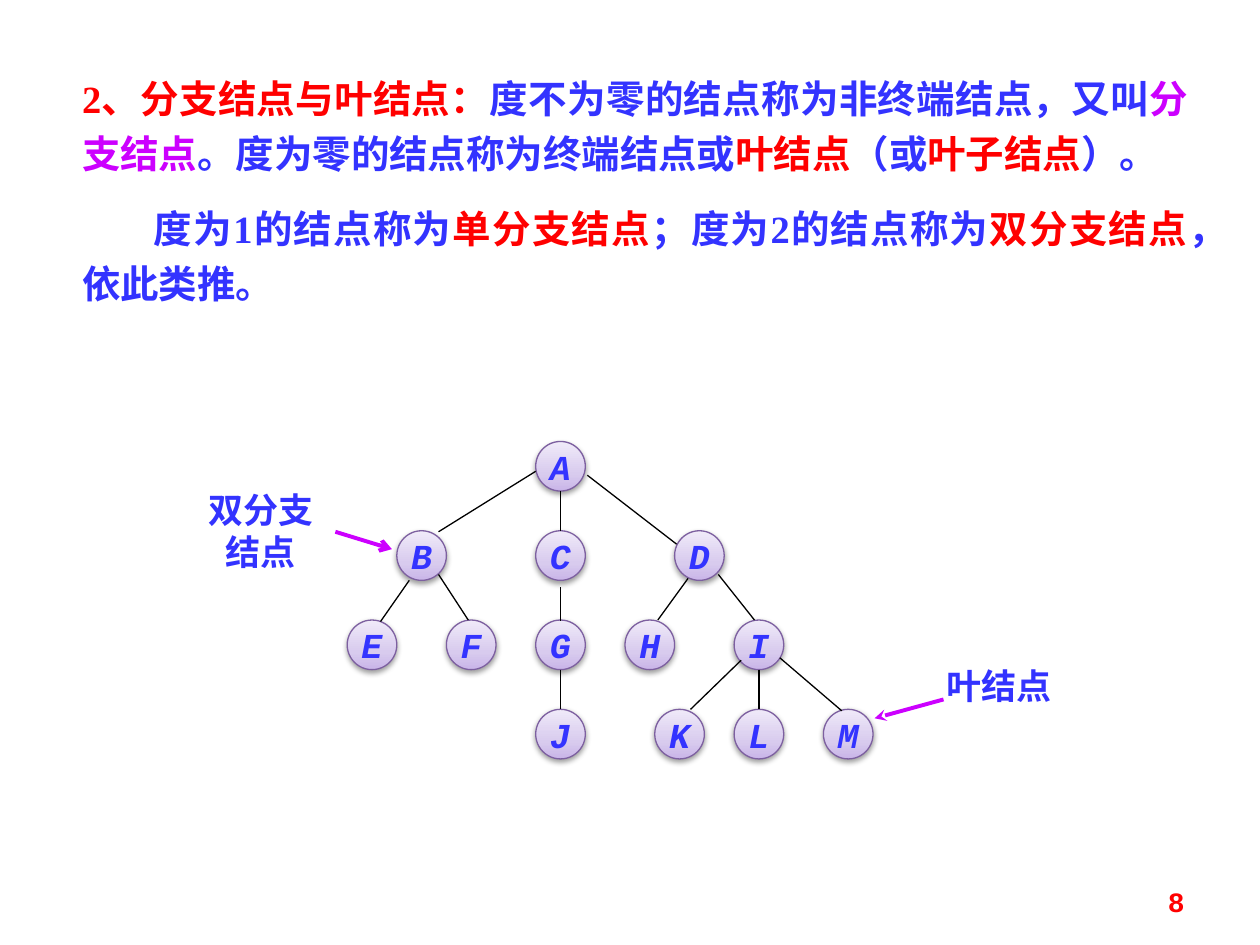
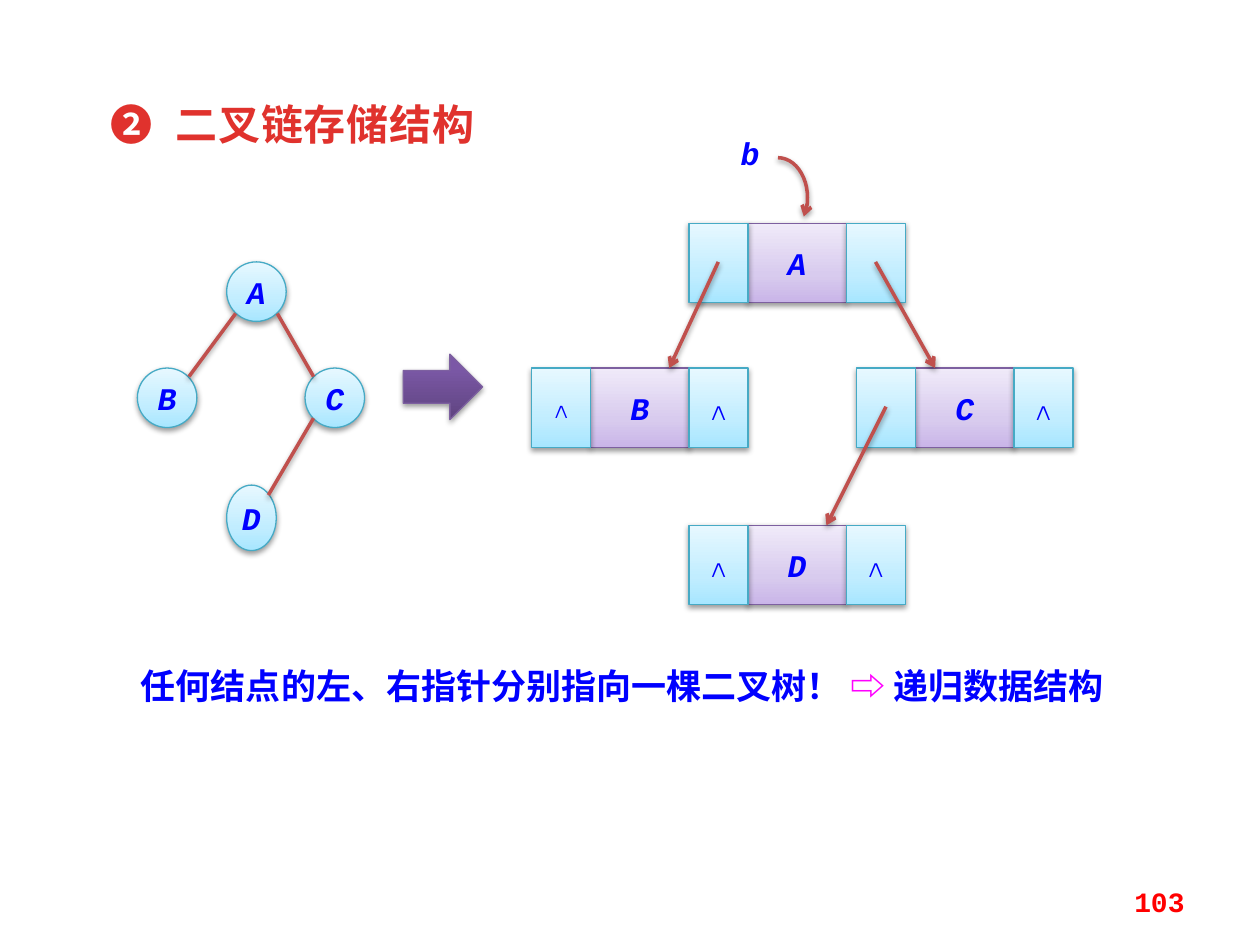
from dataclasses import dataclass
from typing import Any, NamedTuple, Optional

import pptx
import pptx.dml.color
import pptx.enum.shapes
import pptx.enum.text
import pptx.oxml
import pptx.oxml.ns
import pptx.util
from lxml import etree

Cm = pptx.util.Cm
Pt = pptx.util.Pt
qn = pptx.oxml.ns.qn
Shape = pptx.enum.shapes.MSO_SHAPE
Align = pptx.enum.text.PP_ALIGN
Anchor = pptx.enum.text.MSO_ANCHOR


# Theme
class Finish(NamedTuple):
    """Gradient stops (percent, colour) from bottom to top, and the outline."""
    stops: tuple[tuple[int, str], ...]
    outline: str


@dataclass(frozen=True)
class Theme:
    mono: str = "Courier New"
    serif: str = "Times New Roman"
    red: str = "FF0000"
    indigo: str = "3333FF"
    blue: str = "0000FF"
    violet: str = "CC00FF"
    magenta: str = "FF00FF"
    black: str = "000000"
    brick: str = "C0504D"
    heading: str = "E0322D"
    purple: Finish = Finish(((0, "C9B5E8"), (35, "D8CBEE"), (100, "F0EAF9")), "7D60A0")
    cyan: Finish = Finish(((0, "A7E6FF"), (35, "C1EDFF"), (100, "E7F8FF")), "46AAC5")
    dark_purple: Finish = Finish(((0, "5F4480"), (80, "7B58A6"), (100, "7C57A8")), "7D60A0")
    heading_size: float = 24
    body_size: float = 22
    label_size: float = 20
    node_size: float = 18
    small_size: float = 16
    thin: float = 0.75
    link: float = 2
    pointer: float = 2.25


THEME = Theme()


class Box(NamedTuple):
    left: float
    top: float
    width: float
    height: float


class Span(NamedTuple):
    text: str
    color: str


class Line(NamedTuple):
    x1: float
    y1: float
    x2: float
    y2: float


class Node(NamedTuple):
    name: str
    center: float
    level: int


class Record(NamedTuple):
    name: str
    left: float
    top: float
    left_mark: str = "∧"
    right_mark: str = "∧"
    left_size: float = THEME.node_size


def rgb(color: str) -> pptx.dml.color.RGBColor:
    return pptx.dml.color.RGBColor.from_string(color)


# Text
def format_run(run: Any, color: str, size: float, font: str = THEME.mono,
               italic: bool = False) -> None:
    run.font.name = font
    run.font.size = Pt(size)
    run.font.bold = True
    run.font.italic = italic
    run.font.color.rgb = rgb(color)


def add_spans(paragraph: Any, spans: list[Span], size: float, font: str = THEME.mono) -> None:
    for span in spans:
        run = paragraph.add_run()
        run.text = span.text
        format_run(run, span.color, size, font)


def place(shape: Any, box: Box) -> None:
    shape.left, shape.top, shape.width, shape.height = (Cm(value) for value in box)


def add_text(slide: Any, box: Box, spans: list[Span], size: float,
             align: Any = Align.LEFT, spacing: Optional[float] = None) -> Any:
    shape = slide.shapes.add_textbox(*(Cm(value) for value in box))
    shape.text_frame.word_wrap = True
    paragraph = shape.text_frame.paragraphs[0]
    paragraph.alignment = align
    if spacing:
        paragraph.line_spacing = Pt(spacing)
    add_spans(paragraph, spans, size)
    return shape


def add_page_number(slide: Any, number: int) -> None:
    shape = add_text(slide, Box(18.21, 17.65, 5.92, 1.02), [Span(str(number), THEME.red)],
                     THEME.small_size, Align.RIGHT)
    shape.text_frame.vertical_anchor = Anchor.MIDDLE


# Shapes and lines
def set_effects(shape: Any, shadow: bool) -> None:
    effects = etree.SubElement(shape._element.spPr, qn("a:effectLst"))
    if shadow:
        outer = etree.SubElement(effects, qn("a:outerShdw"), blurRad="40000",
                                 dist="20000", dir="5400000", rotWithShape="0")
        color = etree.SubElement(outer, qn("a:srgbClr"), val=THEME.black)
        etree.SubElement(color, qn("a:alpha"), val="38000")


def set_arrowhead(shape: Any, head: str) -> None:
    outline = shape._element.spPr.find(qn("a:ln"))
    etree.SubElement(outline, qn("a:tailEnd"), type=head)


def set_gradient(shape: Any, finish: Finish) -> None:
    shape.fill.background()
    properties = shape._element.spPr
    gradient = etree.Element(qn("a:gradFill"), rotWithShape="1")
    stops = etree.SubElement(gradient, qn("a:gsLst"))
    for percent, color in finish.stops:
        stop = etree.SubElement(stops, qn("a:gs"), pos=str(percent * 1000))
        etree.SubElement(stop, qn("a:srgbClr"), val=color)
    etree.SubElement(gradient, qn("a:lin"), ang="16200000", scaled="0")
    properties.replace(properties.find(qn("a:noFill")), gradient)


def add_block(slide: Any, kind: Any, box: Box, finish: Finish, text: str = "",
              color: str = THEME.blue, size: float = THEME.node_size,
              italic: bool = True) -> None:
    shape = slide.shapes.add_shape(kind, *(Cm(value) for value in box))
    set_gradient(shape, finish)
    shape.line.color.rgb = rgb(finish.outline)
    shape.line.width = Pt(THEME.thin)
    set_effects(shape, shadow=True)
    if text:
        frame = shape.text_frame
        frame.text = text
        frame.word_wrap = False
        frame.vertical_anchor = Anchor.MIDDLE
        frame.margin_left = frame.margin_right = 0
        frame.paragraphs[0].alignment = Align.CENTER
        format_run(frame.paragraphs[0].runs[0], color, size, italic=italic)


def add_line(slide: Any, line: Line, color: str, width: float,
             head: str = "", shadow: bool = False) -> None:
    connector = slide.shapes.add_connector(
        pptx.enum.shapes.MSO_CONNECTOR.STRAIGHT, *(Cm(value) for value in line))
    connector.line.color.rgb = rgb(color)
    connector.line.width = Pt(width)
    if head:
        set_arrowhead(connector, head)
    set_effects(connector, shadow)


# Slide 1: branch nodes and leaf nodes
NODE_DIAMETER = 1.0
FIRST_LEVEL, LEVEL_STEP = 8.9, 1.8
TREE_NODES = [
    Node("A", 11.3, 0), Node("B", 8.5, 1), Node("C", 11.3, 1), Node("D", 14.1, 1),
    Node("E", 7.5, 2), Node("F", 9.5, 2), Node("G", 11.3, 2), Node("H", 13.1, 2),
    Node("I", 15.3, 2), Node("J", 11.3, 3), Node("K", 13.7, 3), Node("L", 15.3, 3),
    Node("M", 17.1, 3),
]
TREE_EDGES = [
    Line(10.8, 9.5, 8.84, 10.72), Line(11.3, 9.9, 11.3, 10.7), Line(11.84, 9.58, 13.64, 10.97),
    Line(8.25, 11.7, 7.67, 12.53), Line(8.84, 11.58, 9.44, 12.5), Line(11.3, 11.84, 11.3, 12.52),
    Line(13.87, 11.66, 13.26, 12.5), Line(14.48, 11.58, 15.21, 12.5),
    Line(11.3, 13.5, 11.3, 14.3), Line(14.94, 13.31, 13.92, 14.3),
    Line(15.3, 13.5, 15.3, 14.3), Line(15.72, 13.26, 16.97, 14.33),
]
DEFINITIONS = [
    [Span("2、分支结点与叶结点：", THEME.red),
     Span("度不为零的结点称为非终端结点，又叫", THEME.indigo),
     Span("分支结点", THEME.violet),
     Span("。度为零的结点称为终端结点或", THEME.indigo),
     Span("叶结点", THEME.red),
     Span("（或", THEME.indigo),
     Span("叶子结点", THEME.red),
     Span("）。", THEME.indigo)],
    [Span("度为1的结点称为", THEME.indigo),
     Span("单分支结点", THEME.red),
     Span("；度为2的结点称为", THEME.indigo),
     Span("双分支结点", THEME.red),
     Span("，依此类推。", THEME.indigo)],
]


def build_node_kinds(presentation: Any) -> None:
    slide = presentation.slides.add_slide(presentation.slide_layouts[1])
    title = slide.shapes.title._element
    title.getparent().remove(title)

    # Definitions
    body = slide.placeholders[1]
    place(body, Box(1.4, 1.19, 22.81, 5.13))
    frame = body.text_frame
    frame.auto_size = pptx.enum.text.MSO_AUTO_SIZE.NONE
    for index, spans in enumerate(DEFINITIONS):
        paragraph = frame.add_paragraph() if index else frame.paragraphs[0]
        properties = paragraph._p.get_or_add_pPr()
        properties.set("marL", "0")
        properties.set("indent", str(Cm(1.45 * index)))
        etree.SubElement(properties, qn("a:buNone"))
        paragraph.alignment = Align.JUSTIFY
        paragraph.line_spacing = 1.2
        paragraph.space_before = Pt(11 * index)
        add_spans(paragraph, spans, THEME.body_size, THEME.serif)

    # Tree
    for node in TREE_NODES:
        box = Box(node.center - NODE_DIAMETER / 2, FIRST_LEVEL + node.level * LEVEL_STEP,
                  NODE_DIAMETER, NODE_DIAMETER)
        add_block(slide, Shape.OVAL, box, THEME.purple, node.name, THEME.indigo, THEME.label_size)
    for edge in TREE_EDGES:
        add_line(slide, edge, THEME.black, THEME.thin)

    # Callouts
    for text, box, line, head in [
        ("叶结点", Box(18.64, 13.28, 3, 1.12), Line(19.02, 14.1, 17.63, 14.48), "stealth"),
        ("双分支结点", Box(3.76, 9.73, 3, 1.96), Line(6.76, 10.72, 7.9, 11.07), "arrow"),
    ]:
        add_text(slide, box, [Span(text, THEME.indigo)], THEME.label_size, Align.CENTER)
        add_line(slide, line, THEME.violet, THEME.pointer, head)
    add_page_number(slide, 8)


# Slide 2: linked storage of a binary tree
POINTER_WIDTH, DATA_WIDTH, RECORD_HEIGHT = 1.19, 1.98, 1.6
BINARY_NODES = {
    "A": Box(4.57, 5.28, 1.2, 1.2), "B": Box(2.77, 7.42, 1.2, 1.2),
    "C": Box(6.15, 7.42, 1.2, 1.2), "D": Box(4.57, 9.78, 1, 1.32),
}
BINARY_EDGES = [Line(4.75, 6.32, 3.81, 7.59), Line(5.59, 6.32, 6.32, 7.59),
                Line(6.32, 8.43, 5.41, 9.98)]
RECORDS = [
    Record("A", 13.89, 4.5, "", ""),
    Record("B", 10.72, 7.42, left_size=THEME.small_size),
    Record("C", 17.27, 7.42, left_mark=""),
    Record("D", 13.89, 10.59),
]
RECORD_LINKS = [Line(14.48, 5.28, 13.49, 7.42), Line(17.65, 5.28, 18.85, 7.42),
                Line(17.86, 8.2, 16.66, 10.59)]


def add_record(slide: Any, record: Record) -> None:
    data_left = record.left + POINTER_WIDTH
    right = data_left + DATA_WIDTH
    add_block(slide, Shape.RECTANGLE, Box(data_left, record.top, DATA_WIDTH, RECORD_HEIGHT),
              THEME.purple, record.name)
    for left, mark, size in [(right, record.right_mark, THEME.node_size),
                             (record.left, record.left_mark, record.left_size)]:
        add_block(slide, Shape.RECTANGLE, Box(left, record.top, POINTER_WIDTH, RECORD_HEIGHT),
                  THEME.cyan, mark, size=size, italic=False)


def build_linked_storage(presentation: Any) -> None:
    slide = presentation.slides.add_slide(presentation.slide_layouts[5])

    # Heading
    title = slide.shapes.title
    place(title, Box(1.98, 1.85, 9.12, 1.4))
    title.text_frame.text = "❷\t二叉链存储结构"
    title.text_frame.vertical_anchor = Anchor.TOP
    paragraph = title.text_frame.paragraphs[0]
    tabs = etree.SubElement(paragraph._p.get_or_add_pPr(), qn("a:tabLst"))
    etree.SubElement(tabs, qn("a:tab"), pos=str(Cm(1.3)), algn="l")
    paragraph.alignment = Align.LEFT
    for run in paragraph.runs:
        format_run(run, THEME.heading, THEME.heading_size)
        run.font._element.set("spc", "50")

    # Binary tree
    for name, box in BINARY_NODES.items():
        add_block(slide, Shape.OVAL, box, THEME.cyan, name)
    for edge in BINARY_EDGES:
        add_line(slide, edge, THEME.brick, THEME.link, shadow=True)
    add_block(slide, Shape.RIGHT_ARROW, Box(8.13, 7.14, 1.6, 1.32), THEME.dark_purple)

    # Linked records
    for record in RECORDS:
        add_record(slide, record)
    for link in RECORD_LINKS:
        add_line(slide, link, THEME.brick, THEME.link, "arrow", shadow=True)

    # Root pointer
    add_text(slide, Box(14.68, 2.64, 1.4, 0.97), [Span("b", THEME.blue)], THEME.node_size,
             spacing=20).text_frame.paragraphs[0].runs[0].font.italic = True
    arc = slide.shapes.add_shape(Shape.ARC, Cm(15.09), Cm(3.18), Cm(1.19), Cm(1.6))
    arc.adjustments[0], arc.adjustments[1] = 162, 21.94
    arc.fill.background()
    arc.line.color.rgb = rgb(THEME.brick)
    arc.line.width = Pt(THEME.link)
    set_arrowhead(arc, "arrow")
    set_effects(arc, shadow=True)

    # Conclusion
    add_text(slide, Box(2.59, 13.06, 22.02, 1.32),
             [Span("任何结点的左、右指针分别指向一棵二叉树！ ", THEME.blue),
              Span("⇨", THEME.magenta), Span(" 递归数据结构", THEME.blue)],
             THEME.label_size, spacing=30)
    add_page_number(slide, 103)


def main() -> None:
    presentation = pptx.Presentation()
    presentation.slide_width, presentation.slide_height = Cm(25.4), Cm(19.05)
    build_node_kinds(presentation)
    build_linked_storage(presentation)
    presentation.save("out.pptx")


if __name__ == "__main__":
    main()
